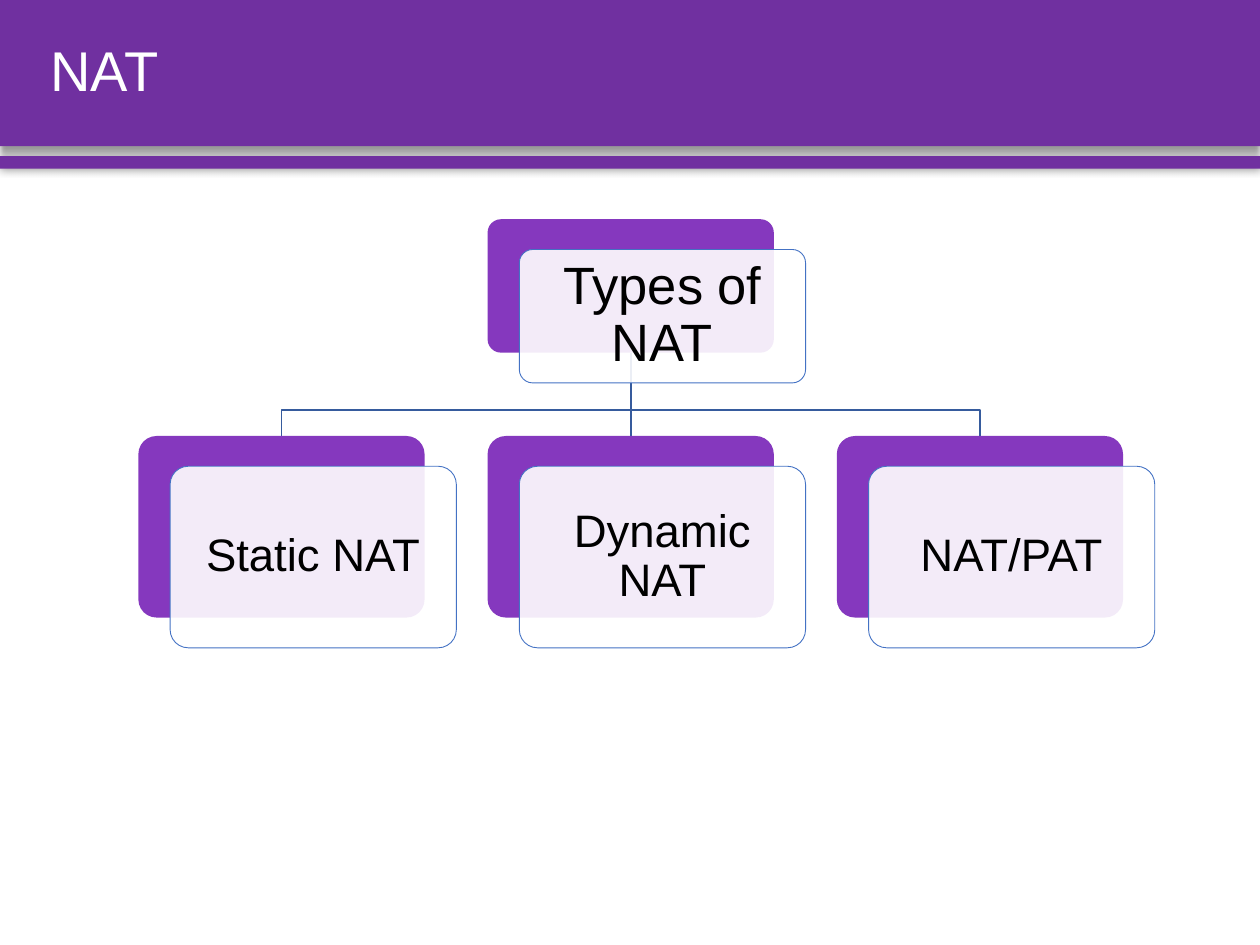
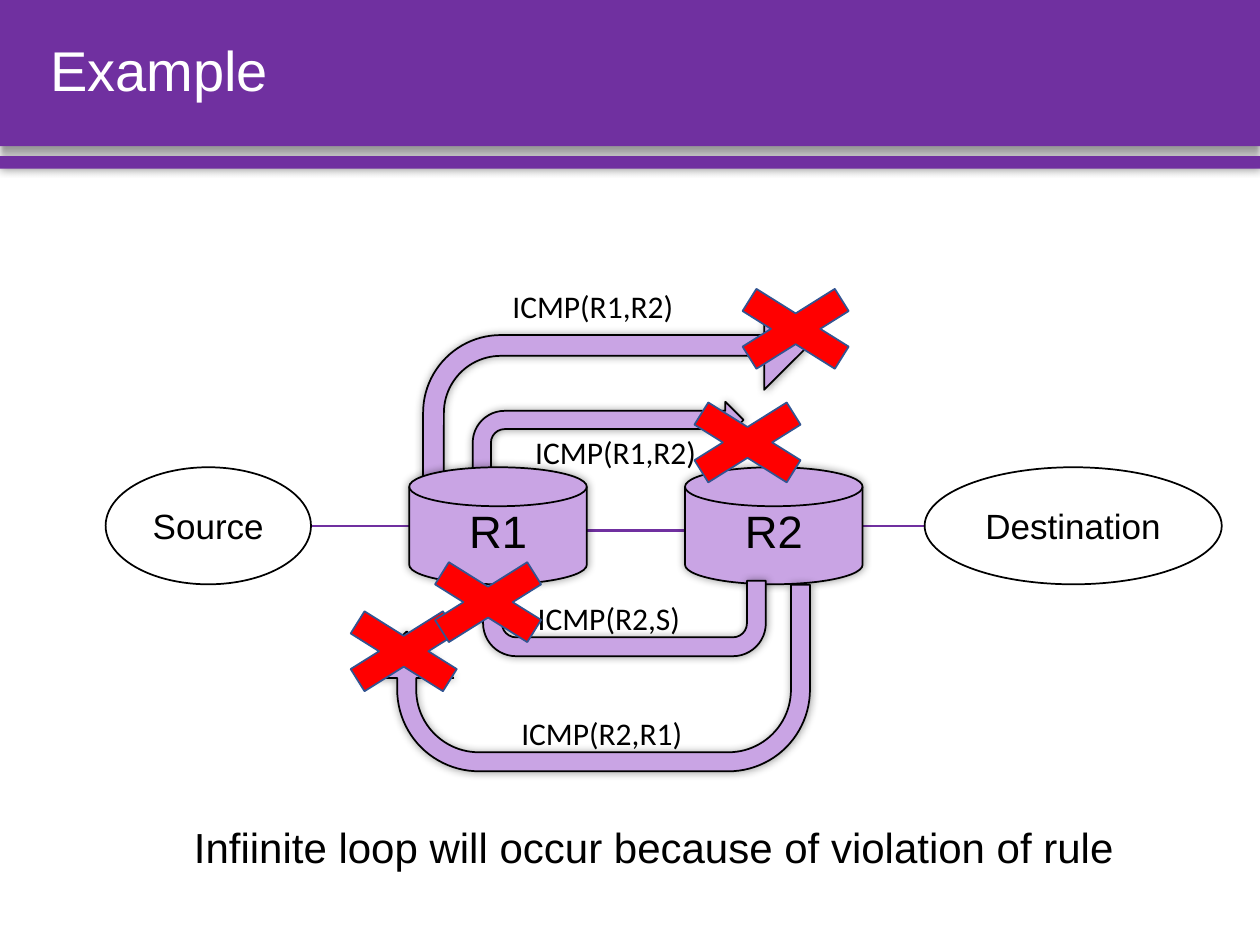
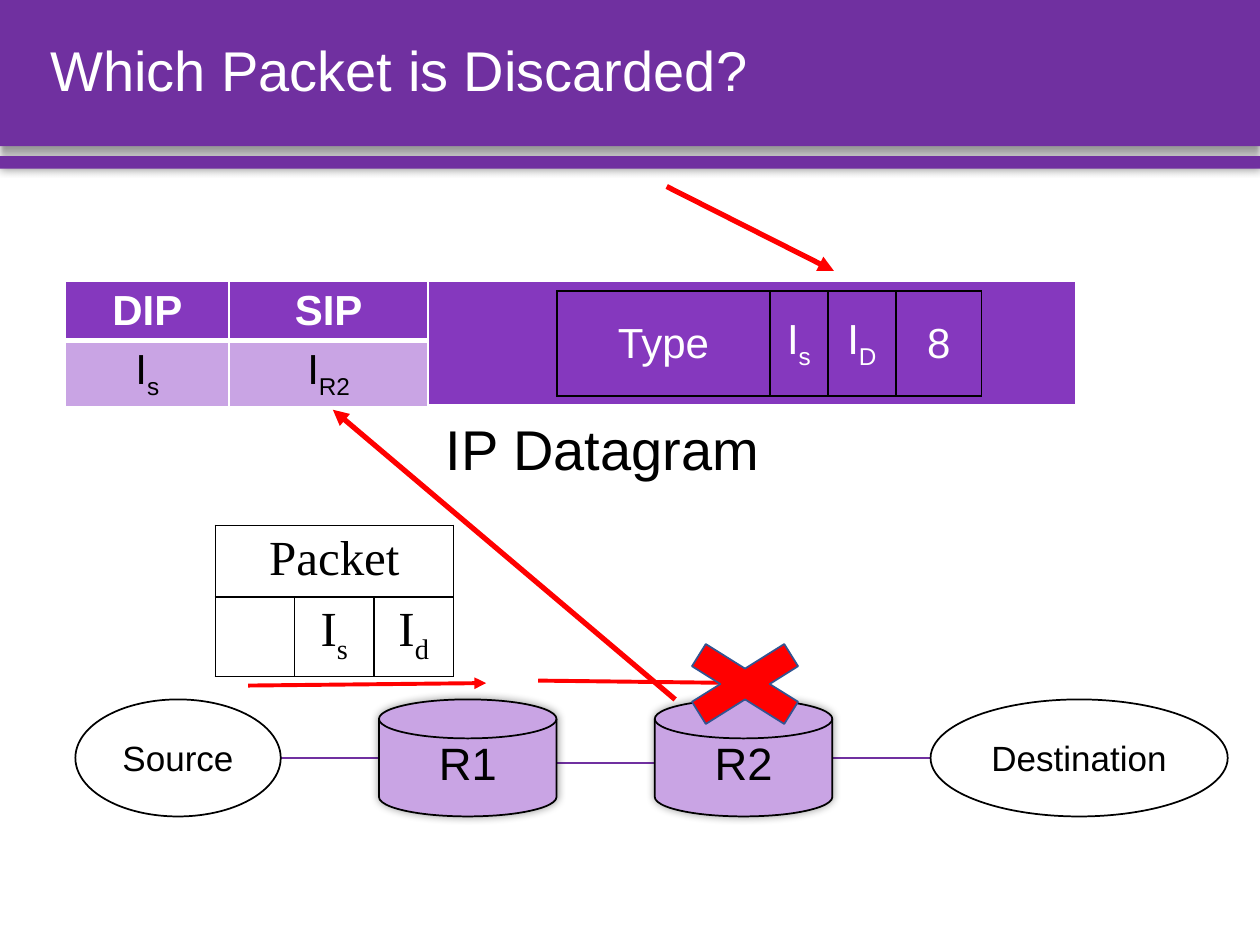
from lxml import etree
from pptx import Presentation, util as u
from pptx.dml.color import RGBColor
from pptx.enum import shapes, text
from pptx.oxml import ns

Cm, Pt = u.Cm, u.Pt
KIND = shapes.MSO_SHAPE
MIDDLE = text.MSO_ANCHOR.MIDDLE
CENTER = text.PP_ALIGN.CENTER

COLORS = {
    "band": "7030A0", "violet": "8538BE", "lilac": "C9A4E4",
    "white": "FFFFFF", "black": "000000", "red": "FF0000",
    "tree": "365B9D", "card": "4472C4", "cross": "325491",
}
GLOW = (5, 0, 0)  # shadow blur and distance in points, direction in degrees

# Content; all places and sizes in centimetres
BANDS = [((0, 0, 25.4, 2.95), (4, 3, 90)), ((0, 3.15, 25.4, 0.25), GLOW)]
TITLE_BOX = (0.76, 0, 24.03, 2.95)

TREE_ROOT = "Types of NAT"
TREE_LEAVES = ["Static NAT", "Dynamic NAT", "NAT/PAT"]

BENT_ARROWS = [
    ((8.53, 6.07, 7.77, 3.58), (0.117, 0.25, 0.25, 0.438)),
    ((9.53, 8.1, 5.46, 1.47), ()),
]
UTURN_ARROWS = [
    ((9.55, 11.71, 5.89, 1.52), ()),
    ((7.26, 11.79, 9.07, 3.76), (0.102, 0.25, 0.25, 0.438, 0.75)),
]
MESSAGES = [
    ("ICMP(R1,R2)", 10.08, 5.66), ("ICMP(R1,R2)", 10.54, 8.61),
    ("ICMP(R2,S)", 10.59, 11.96), ("ICMP(R2,R1)", 10.26, 14.27),
]
LOOP_CROSSES = [(6.35, 12.01), (13.28, 7.8), (14.25, 5.51), (8.05, 11.02)]
LOOP_CAPTION = "Infiinite loop will occur because of violation of rule"

# An underscore starts a subscript
DATAGRAM = [["DIP", "SIP", ""], ["I_s", "I_R2", ""]]
ICMP_FIELDS = [["Type", "I_s", "I_D", "8"]]
PACKET = [["Packet", "", ""], ["", "I_s", "I_d"]]
PACKET_PATHS = [(5, 13.82, 9.8, 13.77), (10.85, 13.72, 15.01, 13.77)]
POINTERS = [(13.61, 14.1, 6.71, 8.26), (13.44, 3.76, 16.81, 5.46)]


def rgb(name):
    return RGBColor.from_string(COLORS[name])


def sub(parent, tag, **attrs):
    return etree.SubElement(parent, ns.qn(tag), **attrs)


def style(p, size, color="black", font="Arial", bold=False, align=None):
    p.alignment = align
    p.font.name, p.font.size, p.font.bold = font, Pt(size), bold
    p.font.color.rgb = rgb(color)


def add_shape(slide, kind, box, fill, line=None, width=1, adj=(), shadow=None):
    sp = slide.shapes.add_shape(kind, *map(Cm, box))
    for i, value in enumerate(adj):
        sp.adjustments[i] = value
    sp.fill.solid()
    sp.fill.fore_color.rgb = rgb(fill)
    if line:
        sp.line.color.rgb = rgb(line)
        sp.line.width = Pt(width)
    else:
        sp.line.fill.background()
    sp.shadow.inherit = False
    if shadow:
        blur, dist, angle = shadow
        effects = sp.element.spPr.find(ns.qn("a:effectLst"))
        shade = sub(effects, "a:outerShdw", blurRad=str(Pt(blur)),
                    dist=str(Pt(dist)), dir=str(angle * 60000),
                    algn="ctr", rotWithShape="0")
        color = sub(shade, "a:srgbClr", val=COLORS["black"])
        sub(color, "a:alpha", val="40000")
    return sp


def label(sp, words, size):
    tf = sp.text_frame
    tf.word_wrap = True
    tf.vertical_anchor = MIDDLE
    p = tf.paragraphs[0]
    p.text = words
    style(p, size, align=CENTER)
    return p


def add_text(slide, words, box, size, font="Arial"):
    tf = slide.shapes.add_textbox(*map(Cm, box)).text_frame
    tf.word_wrap = True
    p = tf.paragraphs[0]
    p.text = words
    style(p, size, font=font)


def add_line(slide, ends, color, width, arrow=False):
    cxn = slide.shapes.add_connector(shapes.MSO_CONNECTOR.STRAIGHT, *map(Cm, ends))
    cxn.line.color.rgb = rgb(color)
    cxn.line.width = Pt(width)
    sp_pr = cxn.element.spPr
    if arrow:
        sub(sp_pr.find(ns.qn("a:ln")), "a:tailEnd", type="triangle")
    sub(sp_pr, "a:effectLst")


def add_cross(slide, x, y):
    add_shape(slide, KIND.MATH_MULTIPLY, (x, y, 3.58, 2.24), "red", "cross")


def set_borders(cell, color):
    tc_pr = cell._tc.get_or_add_tcPr()
    for i, side in enumerate("LRTB"):
        ln = etree.Element(ns.qn("a:ln" + side), w=str(Pt(1)))
        sub(sub(ln, "a:solidFill"), "a:srgbClr", val=COLORS[color])
        tc_pr.insert(i, ln)


def add_table(slide, rows, x, y, widths, heights, size, color, border, font="Arial"):
    frame = slide.shapes.add_table(len(rows), len(widths), Cm(x), Cm(y),
                                   Cm(sum(widths)), Cm(sum(heights)))
    table = frame.table
    table.first_row = table.horz_banding = False
    for col, width in zip(table.columns, widths):
        col.width = Cm(width)
    for row, height, words in zip(table.rows, heights, rows):
        row.height = Cm(height)
        for cell, word in zip(row.cells, words):
            cell.fill.background()
            set_borders(cell, border)
            p = cell.text_frame.paragraphs[0]
            style(p, size, color, font, align=CENTER)
            main_part, _, low = word.partition("_")
            if main_part:
                p.add_run().text = main_part
            if low:
                r = p.add_run()
                r.text = low
                r._r.get_or_add_rPr().set("baseline", "-25000")
    return table


def add_network(slide, left, top, overlap=0):
    height, link = 2.36, 1.98
    nodes = [("Source", 4.14), ("R1", 3.58), ("R2", 3.58), ("Destination", 5.99)]
    lefts = [left]
    for _, width in nodes[:-1]:
        lefts.append(lefts[-1] + width + link)
    # Links, the middle one slightly lower
    for x, drop in zip(lefts[1:], (0, 0.1, 0)):
        y = top + height / 2 + drop
        add_line(slide, (x - link, y, x, y), "band", 1.5)
    lefts[-1] -= overlap
    for (name, width), x in zip(nodes, lefts):
        box = (x, top, width, height)
        if name.startswith("R"):
            sp = add_shape(slide, KIND.FLOWCHART_MAGNETIC_DISK, box,
                           "lilac", "black", shadow=GLOW)
            label(sp, name, 25.9).line_spacing = 0.8
        else:
            label(add_shape(slide, KIND.OVAL, box, "white", "black"), name, 20)


def add_slide(prs, title):
    slide = prs.slides.add_slide(prs.slide_layouts[5])
    sp = slide.shapes.title
    sp.left, sp.top, sp.width, sp.height = map(Cm, TITLE_BOX)
    tf = sp.text_frame
    tf.word_wrap = True
    tf.auto_size = text.MSO_AUTO_SIZE.NONE
    tf.vertical_anchor = MIDDLE
    p = tf.paragraphs[0]
    p.text = title
    p.line_spacing = 0.9
    style(p, 32, "white", align=text.PP_ALIGN.LEFT)
    return slide


def add_bands(slide):
    """Draw the bands and move them to the layout all slides share."""
    tree = slide.slide_layout.shapes.element
    for i, (box, shadow) in enumerate(BANDS):
        sp = add_shape(slide, KIND.RECTANGLE, box, "band", shadow=shadow)
        tree.insert(2 + i, sp.element)


def add_card(slide, words, x, y, width, height, size, inset):
    add_shape(slide, KIND.ROUNDED_RECTANGLE, (x, y, width, height), "violet", adj=[0.1])
    sp = add_shape(slide, KIND.ROUNDED_RECTANGLE, (x + 0.64, y + 0.61, width, height),
                   "white", "card", 0.5, adj=[0.1])
    color = sp.element.spPr.find(ns.qn("a:solidFill"))[0]
    sub(color, "a:alpha", val="90000")
    label(sp, words, size).line_spacing = 0.9
    tf = sp.text_frame
    tf.margin_left = tf.margin_right = tf.margin_top = tf.margin_bottom = Cm(inset)


def draw_tree(slide):
    left, step, width = 2.79, 7.04, 5.77
    root_top, root_height, leaf_top, leaf_height, fork = 4.42, 2.69, 8.79, 3.66, 8.26
    root_left = left + step
    root_x, root_bottom = root_left + width / 2, root_top + root_height
    # Branches
    for side in (-1, 1):
        x = root_x + side * step
        points = [(Cm(px), Cm(py)) for px, py in ((root_x, fork), (x, fork), (x, leaf_top))]
        pen = slide.shapes.build_freeform(Cm(root_x), Cm(root_bottom))
        sp = pen.add_line_segments(points, close=False).convert_to_shape()
        sp.fill.background()
        sp.line.color.rgb = rgb("tree")
        sp.line.width = Pt(1)
        sp.shadow.inherit = False
    add_line(slide, (root_x, root_bottom, root_x, leaf_top), "tree", 1)
    # Cards
    add_card(slide, TREE_ROOT, root_left, root_top, width, root_height, 30, 0.3)
    for i, words in enumerate(TREE_LEAVES):
        add_card(slide, words, left + i * step, leaf_top, width, leaf_height, 26, 0.28)


def draw_loop(slide):
    for box, adj in BENT_ARROWS:
        add_shape(slide, KIND.BENT_ARROW, box, "lilac", "black", adj=adj, shadow=GLOW)
    add_network(slide, 2.13, 9.42, overlap=0.73)
    for box, adj in UTURN_ARROWS:
        sp = add_shape(slide, KIND.U_TURN_ARROW, box, "lilac", "black", adj=adj, shadow=GLOW)
        xfrm = sp.element.spPr.find(ns.qn("a:xfrm"))
        xfrm.set("flipH", "1")
        xfrm.set("flipV", "1")
    for words, x, y in MESSAGES:
        add_text(slide, words, (x, y, 5, 1.02), 18, "Calibri")
    for x, y in LOOP_CROSSES:
        add_cross(slide, x, y)
    add_text(slide, LOOP_CAPTION, (3.66, 16.43, 20.5, 1.27), 24)


def draw_discard(slide):
    # Datagram with a header row and a payload cell
    table = add_table(slide, DATAGRAM, 1.32, 5.66, (3.3, 4.01, 13.06), (1.2, 1.34),
                      24, "black", "white")
    for i, row in enumerate(table.rows):
        for cell in row.cells:
            cell.fill.solid()
            cell.fill.fore_color.rgb = rgb("lilac" if i else "violet")
            if i == 0:
                font = cell.text_frame.paragraphs[0].font
                font.bold = True
                font.color.rgb = rgb("white")
                ln = cell._tc.tcPr.find(ns.qn("a:lnB"))
                ln.set("w", str(Pt(3)))
    table.cell(0, 2).merge(table.cell(1, 2))
    # Fields inside the payload
    fields = add_table(slide, ICMP_FIELDS, 11.23, 5.87, (4.29, 1.17, 1.37, 1.73), (2.11,),
                       24, "white", "black")
    for cell in fields.iter_cells():
        cell.vertical_anchor = MIDDLE
    add_text(slide, "IP Datagram", (8.74, 8.23, 12.4, 1.63), 32)
    # Network and the dropped packet
    add_network(slide, 1.52, 14.1)
    for ends in PACKET_PATHS:
        add_line(slide, ends, "red", 2.25, arrow=True)
    add_cross(slide, 13.23, 12.67)
    packet = add_table(slide, PACKET, 4.34, 10.59, (1.6,) * 3, (1.43, 1.6),
                       28, "black", "black", "Times New Roman")
    packet.cell(0, 0).merge(packet.cell(0, 2))
    for ends in POINTERS:
        add_line(slide, ends, "red", 3, arrow=True)


def main():
    prs = Presentation()
    prs.slide_width, prs.slide_height = Cm(25.4), Cm(19.05)
    pages = [("NAT", draw_tree), ("Example", draw_loop),
             ("Which Packet is Discarded?", draw_discard)]
    for i, (title, draw) in enumerate(pages):
        slide = add_slide(prs, title)
        if i == 0:
            add_bands(slide)
        draw(slide)
    prs.save("out.pptx")


if __name__ == "__main__":
    main()
